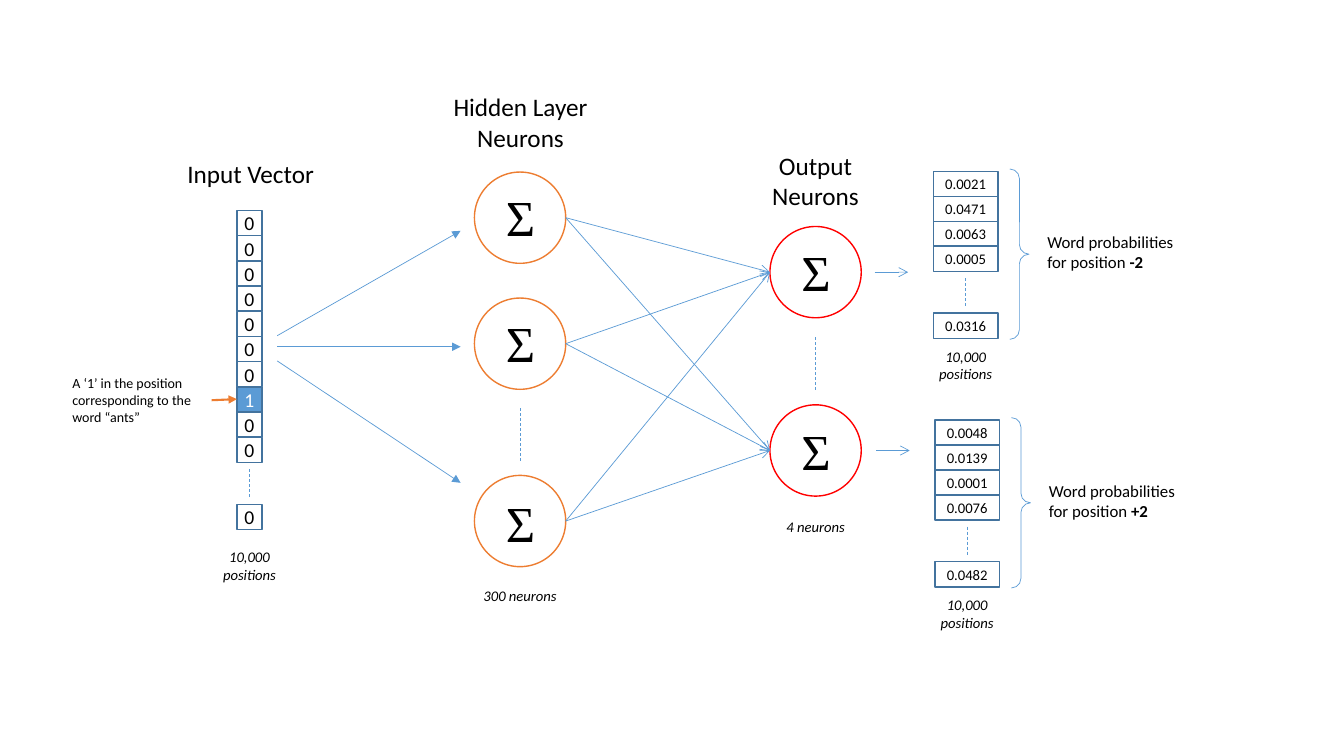
from dataclasses import dataclass
from itertools import product
from typing import Optional

from pptx import Presentation
from pptx.dml.color import RGBColor
from pptx.enum.dml import MSO_LINE
from pptx.enum.shapes import MSO_CONNECTOR, MSO_SHAPE as SHAPE
from pptx.enum.text import MSO_ANCHOR, PP_ALIGN as ALIGN
from pptx.oxml import parse_xml
from pptx.oxml.ns import nsdecls
from pptx.util import Pt

BLACK = RGBColor(0x00, 0x00, 0x00)
WHITE = RGBColor(0xFF, 0xFF, 0xFF)
BLUE = RGBColor(0x5B, 0x9B, 0xD5)
DARK_BLUE = RGBColor(0x43, 0x73, 0x9E)
ORANGE = RGBColor(0xED, 0x7D, 0x31)
RED = RGBColor(0xFF, 0x00, 0x00)

RADIUS = 32.6
CELL_HEIGHT = 18
HIDDEN_X, OUTPUT_X = 371.5, 582.6


@dataclass
class Neuron:
    x: float
    y: float
    color: RGBColor
    sigma_drop: float = 0


@dataclass
class Vector:
    left: float
    top: float
    width: float
    step: float
    values: list[str]
    last: str
    size: float
    footer_gap: float

    @property
    def end(self) -> float:
        return self.top + self.step * len(self.values)

    @property
    def center(self) -> float:
        return self.left + self.width / 2


@dataclass
class Label:
    left: float
    top: float
    width: float
    height: float
    text: str
    size: float
    align: ALIGN = ALIGN.CENTER
    italic: bool = False
    font: str = "Calibri"
    bold_tail: str = ""
    wrap: bool = True


prs = Presentation()
prs.slide_width, prs.slide_height = Pt(960), Pt(540)
s = prs.slides.add_slide(prs.slide_layouts[6])


def format_text(tf, size: float, color: RGBColor = BLACK, align: ALIGN = ALIGN.CENTER,
                italic: bool = False, font: str = "Calibri") -> None:
    for p in tf.paragraphs:
        p.alignment = align
        for r in p.runs:
            r.font.name, r.font.size = font, Pt(size)
            r.font.color.rgb = color
            if italic:
                r.font.italic = True


def add_label(label: Label) -> None:
    sp = s.shapes.add_textbox(Pt(label.left), Pt(label.top), Pt(label.width), Pt(label.height))
    tf = sp.text_frame
    tf.word_wrap = label.wrap
    tf.text = label.text
    if label.bold_tail:
        r = tf.paragraphs[0].add_run()
        r.text, r.font.bold = label.bold_tail, True
    format_text(tf, label.size, align=label.align, italic=label.italic, font=label.font)


def add_note(center: float, top: float, text: str, height: float = 20) -> None:
    add_label(Label(center - 37, top, 74, height, text, 10.5, italic=True))


def add_outline(kind: SHAPE, left: float, top: float, width: float, height: float,
                color: RGBColor, weight: float = 1, fill: Optional[RGBColor] = None):
    sp = s.shapes.add_shape(kind, Pt(left), Pt(top), Pt(width), Pt(height))
    sp.shadow.inherit = False
    if fill is None:
        sp.fill.background()
    else:
        sp.fill.solid()
        sp.fill.fore_color.rgb = fill
    sp.line.color.rgb, sp.line.width = color, Pt(weight)
    return sp


def add_line(x1: float, y1: float, x2: float, y2: float, head: str = "",
             color: RGBColor = BLUE, weight: float = 0.5) -> None:
    """Draw an arrow with the given head, or a dashed line without one."""
    line = s.shapes.add_connector(MSO_CONNECTOR.STRAIGHT, Pt(x1), Pt(y1), Pt(x2), Pt(y2))
    line.line.color.rgb, line.line.width = color, Pt(weight)
    if head:
        line.line._get_or_add_ln().append(
            parse_xml(f'<a:tailEnd {nsdecls("a")} type="{head}"/>'))
    else:
        line.line.dash_style = MSO_LINE.DASH
    line._element.spPr.append(parse_xml(f'<a:effectLst {nsdecls("a")}/>'))


def add_vector(v: Vector) -> None:
    tops = [v.top + i * v.step for i in range(len(v.values))] + [v.end + 30]
    for top, value in zip(tops, v.values + [v.last]):
        hot = value == "1"
        sp = add_outline(SHAPE.RECTANGLE, v.left, top, v.width, CELL_HEIGHT, DARK_BLUE,
                         fill=BLUE if hot else None)
        tf = sp.text_frame
        tf.margin_left = tf.margin_right = tf.margin_top = tf.margin_bottom = 0
        tf.vertical_anchor = MSO_ANCHOR.MIDDLE
        tf.text = value
        format_text(tf, v.size, WHITE if hot else BLACK)
    add_line(v.center, v.end + 5, v.center, v.end + 26)
    add_note(v.center, tops[-1] + v.footer_gap, "10,000\npositions", 32)


def add_neuron(n: Neuron) -> None:
    add_outline(SHAPE.OVAL, n.x - RADIUS, n.y - RADIUS, 2 * RADIUS, 2 * RADIUS, n.color)
    add_label(Label(n.x - 17.3, n.y - 26 + n.sigma_drop, 34.6, 51, "Σ", 36,
                    font="Times New Roman", wrap=False))


# Input vector with the marked position
add_vector(Vector(169.2, 150.3, 18, 18, list("0000000100"), "0", 14, 27.4))
add_label(Label(44.6, 264.2, 106.6, 44, "A ‘1’ in the position corresponding to the word “ants”",
                10, ALIGN.LEFT))
add_line(151.2, 285.9, 169.2, 285.1, "triangle", ORANGE, 1.5)

# Headings
add_label(Label(126.7, 109.4, 120, 29, "Input Vector", 18, ALIGN.LEFT))
add_label(Label(311.8, 61.9, 120, 51, "Hidden Layer Neurons", 18))
add_label(Label(532.8, 103.7, 99.4, 51, "Output Neurons", 18))

# Arrows from the input to the hidden layer
for start_y, end_y in ((239.8, 164.9), (247.7, 247.7), (257.8, 344.9)):
    add_line(198, start_y, 329, end_y, "triangle")

# Both neuron layers, fully connected
hidden = [Neuron(HIDDEN_X, y, ORANGE, drop) for y, drop in ((155.5, 0), (245.5, 0), (372.2, 2))]
output = [Neuron(OUTPUT_X, y, RED, drop) for y, drop in ((194.4, 0), (321.8, 0.5))]
for neuron in hidden + output:
    add_neuron(neuron)
for a, b in product(hidden, output):
    add_line(a.x + RADIUS, a.y, b.x - RADIUS, b.y, "arrow")
add_line(HIDDEN_X, 291.6, HIDDEN_X, 329.8)
add_line(OUTPUT_X, 240.8, OUTPUT_X, 279.4)
add_note(HIDDEN_X, 415.4, "300 neurons")
add_note(OUTPUT_X, 366.5, "4 neurons")

# Word probabilities of each output neuron
probabilities = [
    (Vector(666.7, 122.4, 46.1, 17.8, ["0.0021", "0.0471", "0.0063", "0.0005"],
            "0.0316", 10.5, 21), "-2"),
    (Vector(667.8, 300, 46.1, 17.8, ["0.0048", "0.0139", "0.0001", "0.0076"],
            "0.0482", 10.5, 21), "+2"),
]
for neuron, (vector, position) in zip(output, probabilities):
    add_line(vector.left - 42, neuron.y, vector.left - 18, neuron.y, "arrow")
    add_vector(vector)
    brace = add_outline(SHAPE.RIGHT_BRACE, vector.left + 54.6, vector.top - 1.7, 13.7, 121.7,
                        BLUE, 0.5)
    brace.adjustments[0] = 0.5
    add_label(Label(vector.left + 74.3, vector.top + 39.6, 112, 36,
                    "Word probabilities for position ", 12, ALIGN.LEFT, bold_tail=position))

prs.save("out.pptx")
